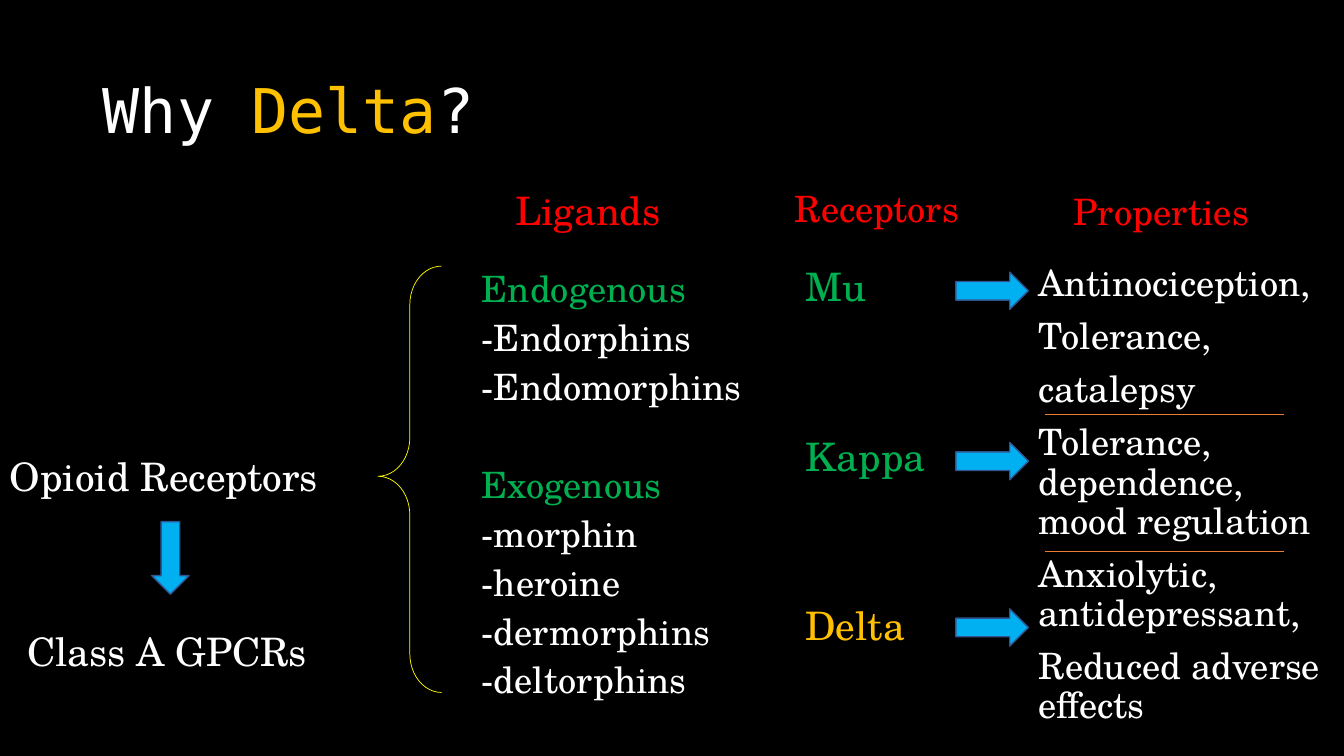
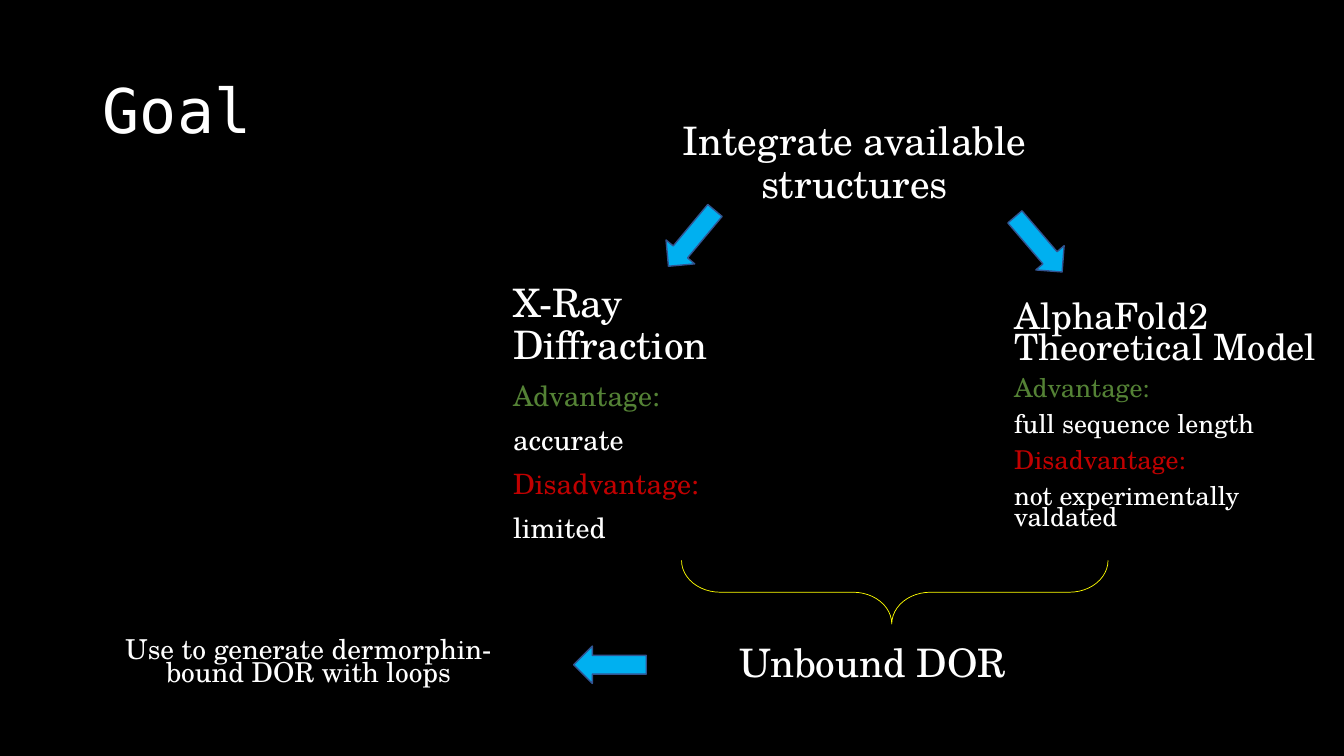
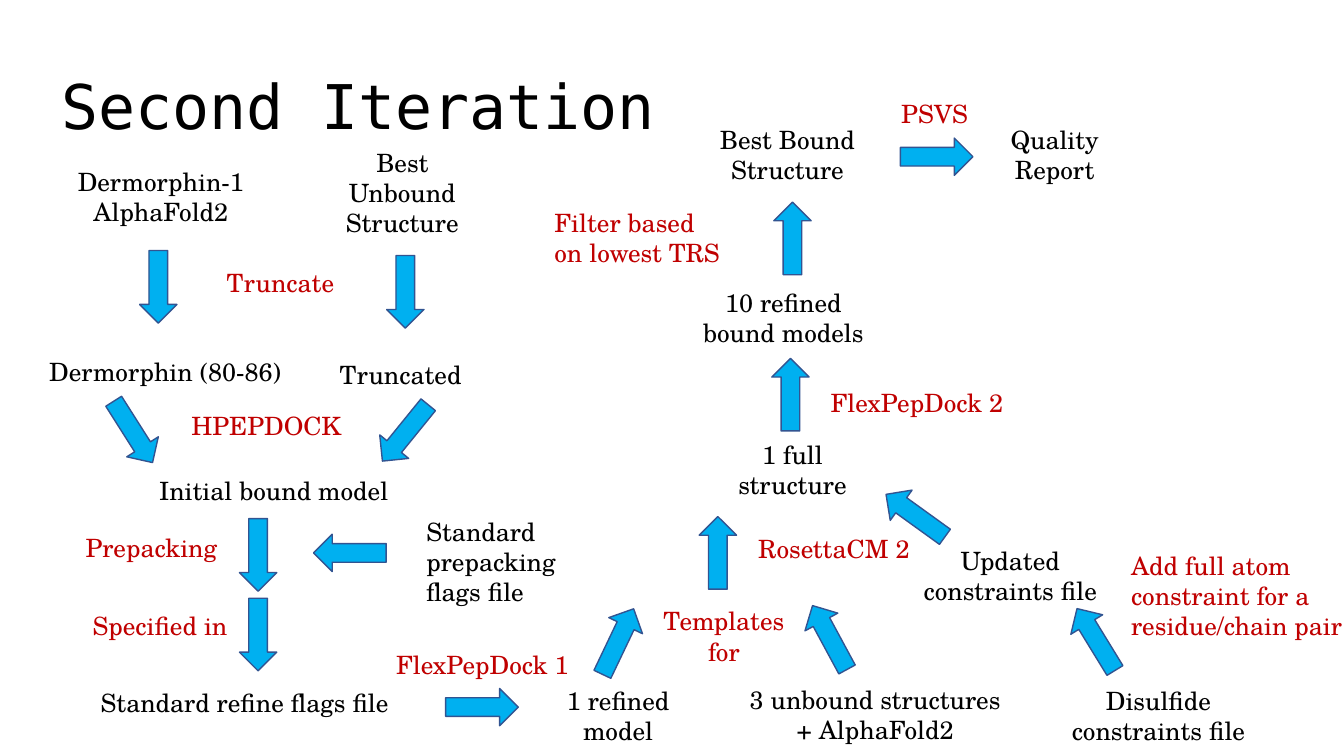
"""Build three slides on delta opioid receptor modelling."""
from lxml import etree
from pptx import Presentation
from pptx.dml.color import RGBColor
from pptx.enum import shapes, text
from pptx.oxml.ns import qn
from pptx.util import Inches, Pt

COLORS = {
    "black": "000000", "white": "FFFFFF", "gold": "FFC000", "red": "FF0000",
    "green": "00B050", "olive": "548235", "crimson": "C00000", "yellow": "FFFF00",
    "arrow": "00B0F0", "arrow edge": "325491", "divider": "ED7D31",
}
RGB = {name: RGBColor.from_string(value) for name, value in COLORS.items()}
TITLE_FONT = "DejaVu Sans Mono"
BODY_FONT = "TeX Gyre Schola"
LEFT, CENTER = text.PP_ALIGN.LEFT, text.PP_ALIGN.CENTER


def write(slide, box, lines, align=LEFT, spacing=0.9):
    """Place a text box; each line is (text, size, colour) and an optional space before."""
    frame = slide.shapes.add_textbox(*map(Inches, box)).text_frame
    frame.word_wrap = True
    for index, (words, size, color, *before) in enumerate(lines):
        paragraph = frame.paragraphs[0] if index == 0 else frame.add_paragraph()
        paragraph.text = words
        paragraph.alignment = align
        paragraph.line_spacing = spacing
        paragraph.space_before = Pt((before or [10])[0] if index else 0)
        paragraph.font.name = BODY_FONT
        paragraph.font.size = Pt(size)
        paragraph.font.color.rgb = RGB[color]


def add_arrow(slide, left, top, angle=0):
    """Place a block arrow turned clockwise by angle."""
    arrow = slide.shapes.add_shape(
        shapes.MSO_SHAPE.RIGHT_ARROW, Inches(left), Inches(top), Inches(0.72), Inches(0.37))
    arrow.rotation = angle
    arrow.shadow.inherit = False
    arrow.fill.solid()
    arrow.fill.fore_color.rgb = RGB["arrow"]
    arrow.line.color.rgb = RGB["arrow edge"]
    arrow.line.width = Pt(1)


deck = Presentation()
deck.slide_width, deck.slide_height = Inches(13.33), Inches(7.5)

titles = [
    (0.92, 0.4, "black", [("Why ", "white"), ("Delta", "gold"), ("?", "white")]),
    (0.92, 0.4, "black", [("Goal", "white")]),
    (0.51, 0.36, "white", [("Second Iteration", "black")]),
]
for left, top, background, pieces in titles:
    slide = deck.slides.add_slide(deck.slide_layouts[5])
    slide.background.fill.solid()
    slide.background.fill.fore_color.rgb = RGB[background]
    title = slide.shapes.title
    title.left, title.top = Inches(left), Inches(top)
    title.width, title.height = Inches(11.5), Inches(1.45)
    title.text_frame.vertical_anchor = text.MSO_ANCHOR.MIDDLE
    heading = title.text_frame.paragraphs[0]
    heading.alignment = LEFT
    heading.line_spacing = 0.9
    heading.font.name = TITLE_FONT
    heading.font.size = Pt(44)
    for words, color in pieces:
        run = heading.add_run()
        run.text = words
        run.font.color.rgb = RGB[color]

why, goal, iteration = deck.slides

for slide, left, top, angle in [(why, 3.75, 2.64, 0), (goal, 8.56, 3.76, 270)]:
    brace = slide.shapes.add_shape(
        shapes.MSO_SHAPE.LEFT_BRACE, Inches(left), Inches(top), Inches(0.63), Inches(4.23))
    brace.adjustments[0], brace.adjustments[1] = 0.61, 0.493
    brace.rotation = angle
    brace.shadow.inherit = False
    brace.fill.background()
    brace.line.color.rgb = RGB["yellow"]
    brace.line.width = Pt(0.5)

write(why, (0, 4.49, 3.58, 0.68), [("Opioid Receptors", 28, "white")])
add_arrow(why, 1.33, 5.35, 90)
write(why, (0.17, 6.23, 3.01, 0.57), [("Class A GPCRs", 28, "white")])

for column, size, box in [
    ("Ligands", 28, (5.01, 1.85, 1.84, 0.61)),
    ("Receptors", 25.9, (7.78, 1.85, 1.84, 0.61)),
    ("Properties", 26, (10.55, 1.88, 2.46, 0.61)),
]:
    write(why, box, [(column, size, "red")])

write(why, (4.68, 2.68, 3.12, 4.36), [
    ("Endogenous", 25.9, "green"),
    ("-Endorphins", 25.9, "white"),
    ("-Endomorphins", 25.9, "white"),
    ("Exogenous", 25.9, "green", 45),
    ("-morphin", 25.9, "white"),
    ("-heroine", 25.9, "white"),
    ("-dermorphins", 25.9, "white"),
    ("-deltorphins", 25.9, "white"),
], spacing=0.8)
write(why, (7.89, 2.61, 4.55, 4.36), [
    ("Mu", 28, "green"),
    ("Kappa", 28, "green", 90.7),
    ("Delta", 28, "gold", 90.7),
])
properties = [
    "Antinociception,", "Tolerance,", "catalepsy", "Tolerance, dependence, mood regulation",
    "Anxiolytic, antidepressant,", "Reduced adverse effects",
]
write(why, (10.2, 2.58, 3.22, 4.92), [(effect, 25.9, "white") for effect in properties])

for top in (2.7, 4.39, 6.04):
    add_arrow(why, 9.48, top)
for height in (4.11, 5.47):
    divider = why.shapes.add_connector(
        shapes.MSO_CONNECTOR.STRAIGHT,
        Inches(10.36), Inches(height), Inches(12.73), Inches(height))
    divider.line.color.rgb = RGB["divider"]
    divider.line.width = Pt(0.5)
    etree.SubElement(divider._element.spPr, qn("a:effectLst"))

write(goal, (6.39, 1.16, 4.17, 2.27),
      [("Integrate available structures", 28, "white")], CENTER)
for box, spacing, large, small, method, advantage, disadvantage in [
    ((4.99, 2.76, 3.01, 3.22), 0.9, 28, 20, "X-Ray Diffraction", "accurate", "limited"),
    ((9.96, 2.98, 3.38, 2.54), 0.7, 25.9, 18.5, "AlphaFold2 Theoretical Model",
     "full sequence length", "not experimentally valdated"),
]:
    write(goal, box, [
        (method, large, "white"),
        ("Advantage:", small, "olive"),
        (advantage, small, "white"),
        ("Disadvantage:", small, "crimson"),
        (disadvantage, small, "white"),
    ], spacing=spacing)
write(goal, (7.24, 6.34, 4.12, 0.6), [("Unbound DOR", 28, "white")])
write(goal, (1, 6.31, 4.12, 0.6),
      [("Use to generate dermorphin-bound DOR with loops", 19.6, "white")], CENTER, 0.7)
for left, top, angle in [(6.5, 2.18, 129.8), (9.94, 2.24, 49.4), (5.69, 6.41, 180)]:
    add_arrow(goal, left, top, angle)

centered_stages = [
    ("Dermorphin-1 AlphaFold2", 0.5, 1.6, 2.19, 0.71),
    ("Best Unbound Structure", 3.13, 1.41, 1.72, 1.01),
    ("Initial bound model", 1.43, 4.67, 2.57, 0.4),
    ("1 refined model", 5.27, 6.75, 1.72, 0.71),
    ("3 unbound structures + AlphaFold2", 7.3, 6.74, 2.76, 0.71),
    ("Disulfide constraints file", 10.31, 6.75, 2.36, 0.71),
    ("Updated constraints file", 8.99, 5.36, 2.06, 0.71),
    ("1 full structure", 7, 4.31, 1.72, 0.71),
    ("10 refined bound models", 6.82, 2.8, 1.9, 0.71),
    ("Best Bound Structure", 6.95, 1.18, 1.72, 0.71),
    ("Quality Report", 9.6, 1.18, 1.72, 0.71),
]
left_stages = [
    ("Dermorphin (80-86)", 0.39, 3.49, 2.6, 0.4),
    ("Truncated", 3.27, 3.52, 2.6, 0.4),
    ("Standard prepacking flags file", 4.13, 5.07, 2.02, 1.01),
    ("Standard refine flags file", 0.9, 6.77, 3.31, 0.4),
]
centered_steps = [("Templates for", 6.32, 5.96, 1.72, 0.71)]
left_steps = [
    ("Truncate", 2.15, 2.6, 1.68, 0.4),
    ("HPEPDOCK", 1.8, 4.02, 1.78, 0.4),
    ("Prepacking", 0.75, 5.23, 1.6, 0.4),
    ("Specified in", 0.82, 6.01, 1.64, 0.4),
    ("FlexPepDock 1", 3.83, 6.39, 2.23, 0.4),
    ("RosettaCM 2", 7.42, 5.24, 1.8, 0.4),
    ("FlexPepDock 2", 8.14, 3.79, 2.23, 0.4),
    ("Filter based on lowest TRS", 5.4, 2.01, 1.89, 0.71),
    ("PSVS", 8.84, 0.93, 1.18, 0.4),
    ("Add full atom constraint for a residue/chain pair", 11.12, 5.41, 2.36, 1.01),
]
for labels, color, align in [
    (centered_stages, "black", CENTER), (left_stages, "black", LEFT),
    (centered_steps, "crimson", CENTER), (left_steps, "crimson", LEFT),
]:
    for label, *box in labels:
        write(iteration, box, [(label, 18, color)], align, 1.0)

for left, top, angle in [
    (1.21, 2.66, 90), (3.66, 2.71, 90), (0.96, 4.1, 57.6), (3.66, 4.11, 129.1),
    (2.2, 5.32, 90), (3.11, 5.3, 180), (2.2, 6.11, 90), (4.42, 6.83, 0),
    (5.77, 6.18, 295.5), (6.76, 5.3, 270), (7.87, 6.14, 241.6), (10.51, 6.16, 238.5),
    (8.72, 4.93, 215.8), (7.48, 3.73, 270), (7.5, 2.18, 270), (8.93, 1.37, 0),
]:
    add_arrow(iteration, left, top, angle)

deck.save("out.pptx")
